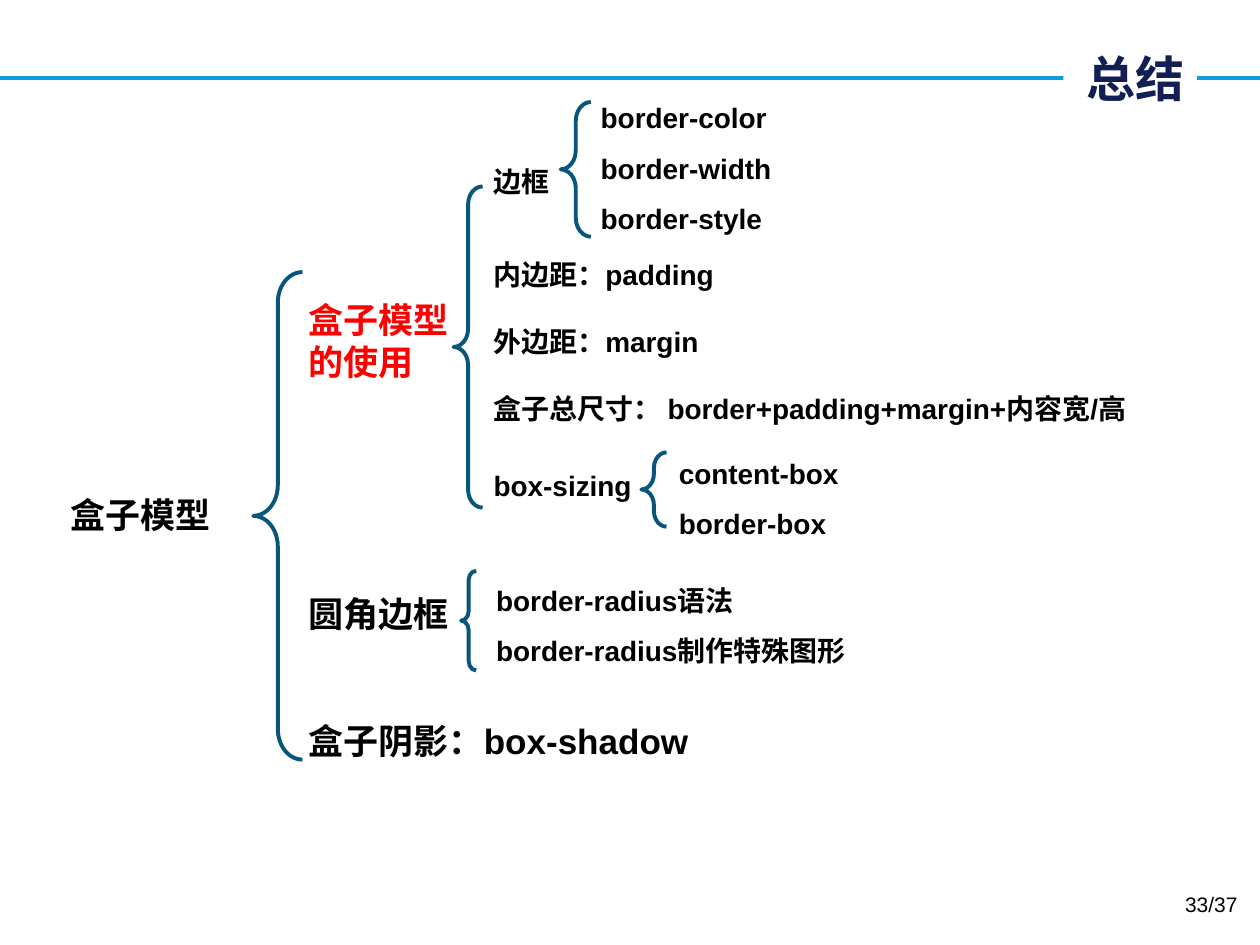
from lxml.etree import SubElement
from pptx import Presentation
from pptx.dml.color import RGBColor
from pptx.enum.shapes import MSO_CONNECTOR as CONN, MSO_SHAPE as SHAPE
from pptx.enum.text import MSO_ANCHOR as ANCHOR, PP_ALIGN as ALIGN
from pptx.oxml.ns import qn
from pptx.util import Pt

CJK = "Noto Sans CJK SC"


def rgb(value):
    return RGBColor.from_string(value)


def set_text(sp, lines, size, color="000000", font="Arial", bold=True,
             align=ALIGN.LEFT, spacing=None):
    tf = sp.text_frame
    tf.word_wrap = True
    tf.vertical_anchor = ANCHOR.MIDDLE
    tf.text = "\n".join(lines)
    for p in tf.paragraphs:
        p.alignment = align
        p.line_spacing = spacing
        for r in p.runs:
            r.font.size = Pt(size)
            r.font.name = font
            r.font.bold = bold
            r.font.color.rgb = rgb(color)
            if font == CJK:
                SubElement(r.font._element, qn("a:ea")).set("typeface", font)


def add_text(s, box, lines, size, **style):
    set_text(s.shapes.add_textbox(*map(Pt, box)), lines, size, **style)


def add_brace(s, x, y, w, h):
    sp = s.shapes.add_shape(SHAPE.LEFT_BRACE, Pt(x), Pt(y), Pt(w), Pt(h))
    sp.shadow.inherit = False
    sp.adjustments[0] = 0.62
    sp.fill.background()
    sp.line.color.rgb = rgb("08577A")
    sp.line.width = Pt(2.25)


def add_header(s, x, y, w, title):
    line = s.shapes.add_connector(CONN.STRAIGHT, Pt(x), Pt(y), Pt(x + w), Pt(y))
    line.line.color.rgb = rgb("0E9CDE")
    line.line.width = Pt(2.25)
    SubElement(line._element.spPr, qn("a:effectLst"))
    sp = s.shapes.add_shape(SHAPE.RECTANGLE, Pt(x + w - 112.3), Pt(y - 23),
                            Pt(76.3), Pt(46))
    sp.shadow.inherit = False
    sp.fill.solid()
    sp.fill.fore_color.rgb = rgb("FFFFFF")
    sp.line.fill.background()
    set_text(sp, [title], 28, color="121F55", font=CJK, align=ALIGN.RIGHT)


def add_branch(s, x, w, size, topics):
    for center, lines, color in topics:
        h = 1.2 * size * len(lines) + 7.2
        add_text(s, (x, center - h / 2, w, h), lines, size, color=color)


def add_details(s, x, y, w, lines, brace):
    add_brace(s, *brace)
    add_text(s, (x, y, w, 28.7 * len(lines) + 7.2), lines, 16, spacing=1.5)


def add_mind_map(s, x, y):
    add_text(s, (x, y + 233.3, 143.3, 31.7), ["盒子模型"], 20,
             align=ALIGN.CENTER)
    add_brace(s, x + 136.1, y + 110.9, 28.1, 278.6)
    add_branch(s, x + 160.6, 394.6, 20, [
        (y + 150, ["盒子模型", "的使用"], "FF0000"),
        (y + 306, ["圆角边框"], "000000"),
        (y + 378.5, ["盒子阴影：box-shadow"], "000000"),
    ])
    add_brace(s, x + 250.6, y + 61.9, 16.6, 183.6)
    usage = [
        (58.8, "边框"),
        (112, "内边距：padding"),
        (150.3, "外边距：margin"),
        (188.6, "盒子总尺寸： border+padding+margin+内容宽/高"),
        (232.5, "box-sizing"),
    ]
    add_branch(s, x + 266.4, 391.7, 16,
               [(y + dy, [label], "000000") for dy, label in usage])
    add_details(s, x + 327.6, y, 159.8,
                ["border-color", "border-width", "border-style"],
                (x + 311.8, y + 13.7, 17.3, 77))
    add_details(s, x + 372.2, y + 203, 183.6, ["content-box", "border-box"],
                (x + 357.9, y + 213.9, 14.4, 42.5))
    add_details(s, x + 267.8, y + 275.8, 231.1,
                ["border-radius语法", "border-radius制作特殊图形"],
                (x + 254.9, y + 281.6, 8.6, 56.9))


def main():
    prs = Presentation()
    prs.slide_width, prs.slide_height = Pt(720), Pt(540)
    s = prs.slides.add_slide(prs.slide_layouts[6])
    add_header(s, 0, 44.6, 720, "总结")
    add_mind_map(s, 8.6, 44.6)
    add_text(s, (546.5, 502, 167.8, 28.8), ["33/37"], 12, bold=False,
             align=ALIGN.RIGHT)
    prs.save("out.pptx")


if __name__ == "__main__":
    main()
